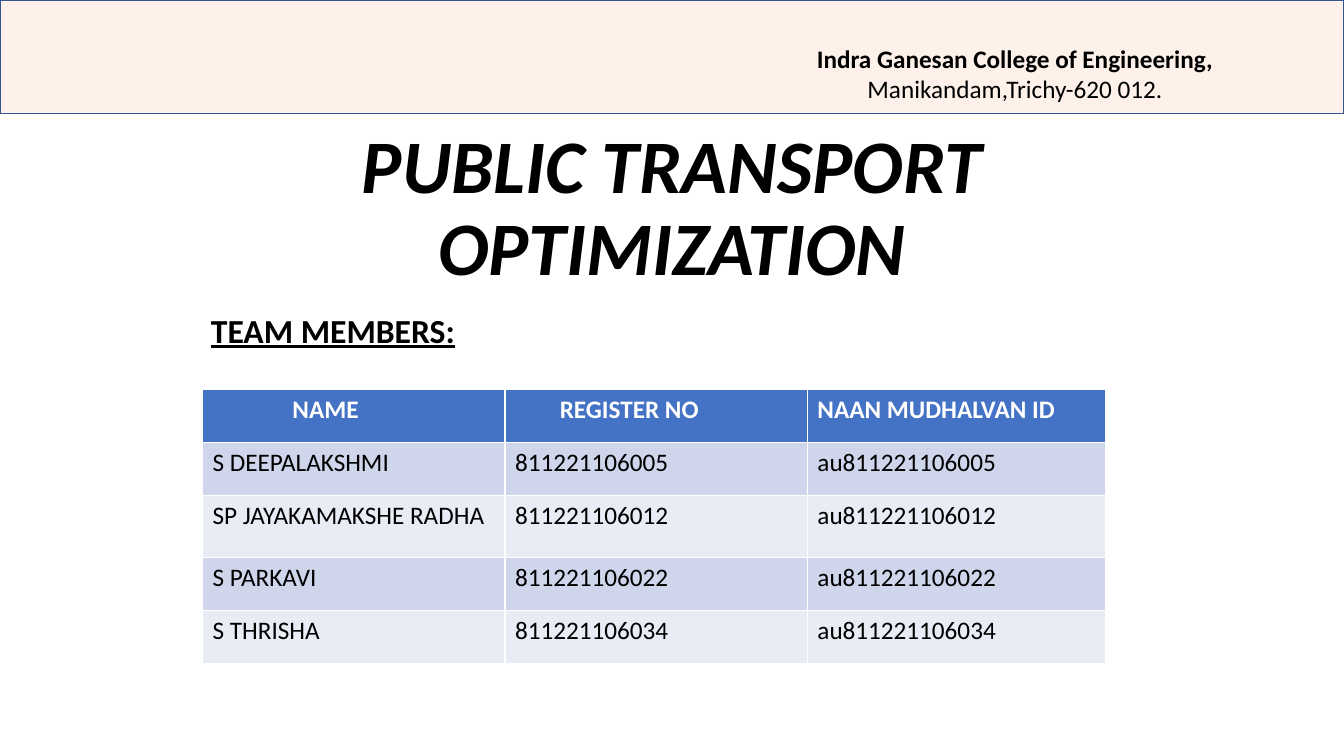
from pptx import Presentation
from pptx import util as u
from pptx.dml.color import RGBColor
from pptx.enum import shapes, text
from pptx.oxml.ns import qn
from lxml import etree

COLORS = {
    "ink": "000000", "white": "FFFFFF", "band": "F8CBAD", "edge": "325491",
    "header": "4472C4", "odd": "CFD5EA", "even": "E9EBF5",
}
MEMBERS = [
    ("S DEEPALAKSHMI", "811221106005"),
    ("SP JAYAKAMAKSHE RADHA", "811221106012"),
    ("S PARKAVI", "811221106022"),
    ("S THRISHA", "811221106034"),
]


class Page:
    """Hold the text style and the current slide, and add elements to it."""

    def __init__(self, slide, font="Calibri"):
        self.slide = slide
        self.font = font

    def color(self, name):
        return RGBColor.from_string(COLORS[name])

    def style(self, para, size, color="ink", bold=False, italic=False, underline=False):
        font = para.font
        font.name, font.size = self.font, u.Pt(size)
        font.bold, font.italic, font.underline = bold, italic, underline
        font.color.rgb = self.color(color)

    def placeholder(self, index, wording, bounds, size, anchor, before=0, **look):
        box = self.slide.placeholders[index]
        box.left, box.top, box.width, box.height = map(u.Pt, bounds)
        frame = box.text_frame
        frame.text = wording
        frame.auto_size = text.MSO_AUTO_SIZE.NONE
        frame.vertical_anchor = anchor
        para = frame.paragraphs[0]
        para.alignment = text.PP_ALIGN.CENTER
        para.line_spacing = 0.9
        para.space_before = u.Pt(before)
        self.style(para, size, **look)

    def band(self, bounds, opacity):
        box = self.slide.shapes.add_shape(
            shapes.MSO_SHAPE.RECTANGLE, *map(u.Pt, bounds))
        box.shadow.inherit = False
        box.fill.solid()
        box.fill.fore_color.rgb = self.color("band")
        tint = box.fill._xPr.find(qn("a:solidFill"))[0]
        etree.SubElement(tint, qn("a:alpha")).set("val", str(opacity * 1000))
        box.line.color.rgb = self.color("edge")
        box.line.width = u.Pt(1)

    def address(self, lines, bounds, size):
        frame = self.slide.shapes.add_textbox(*map(u.Pt, bounds)).text_frame
        frame.word_wrap = True
        for number, line in enumerate(lines):
            para = frame.add_paragraph() if number else frame.paragraphs[0]
            para.text = line
            para.alignment = text.PP_ALIGN.CENTER
            self.style(para, size, bold=number == 0)

    def table(self, rows, left, top, widths, heights, indents, size):
        table = self.slide.shapes.add_table(
            len(rows), len(widths), u.Pt(left), u.Pt(top),
            u.Pt(sum(widths)), u.Pt(sum(heights))).table
        for column, width in zip(table.columns, widths):
            column.width = u.Pt(width)
        for number, (row, height) in enumerate(zip(rows, heights)):
            table.rows[number].height = u.Pt(height)
            is_header = number == 0
            fill = "header" if is_header else ("even", "odd")[number % 2]
            for place, wording in enumerate(row):
                cell = table.cell(number, place)
                cell.text = wording
                cell.fill.solid()
                cell.fill.fore_color.rgb = self.color(fill)
                if is_header:
                    cell.margin_left = u.Pt(7.2 + indents[place])
                self.style(cell.text_frame.paragraphs[0], size,
                           color="white" if is_header else "ink", bold=is_header)


def main():
    deck = Presentation()
    deck.slide_width, deck.slide_height = u.Pt(960), u.Pt(540)
    page = Page(deck.slides.add_slide(deck.slide_layouts[0]))
    page.placeholder(0, "PUBLIC TRANSPORT OPTIMIZATION", (120, 85, 720, 126.7), 54,
                     text.MSO_ANCHOR.BOTTOM, bold=True, italic=True)
    page.placeholder(1, "TEAM MEMBERS:", (83, 221, 309.6, 41.8), 24,
                     text.MSO_ANCHOR.TOP, before=10, bold=True, underline=True)
    page.band((0, 0, 960, 81), opacity=25)
    page.address(["Indra Ganesan College of Engineering,", "Manikandam,Trichy-620 012."],
                 (490, 27.4, 470, 51), 18)
    rows = [("NAME", "REGISTER NO", "NAAN MUDHALVAN ID")]
    rows += [(name, register, "au" + register) for name, register in MEMBERS]
    page.table(rows, 144.7, 278, widths=(216, 216, 213),
               heights=(38, 38, 44, 38, 38), indents=(57, 32, 0), size=18)
    deck.save("out.pptx")


if __name__ == "__main__":
    main()
